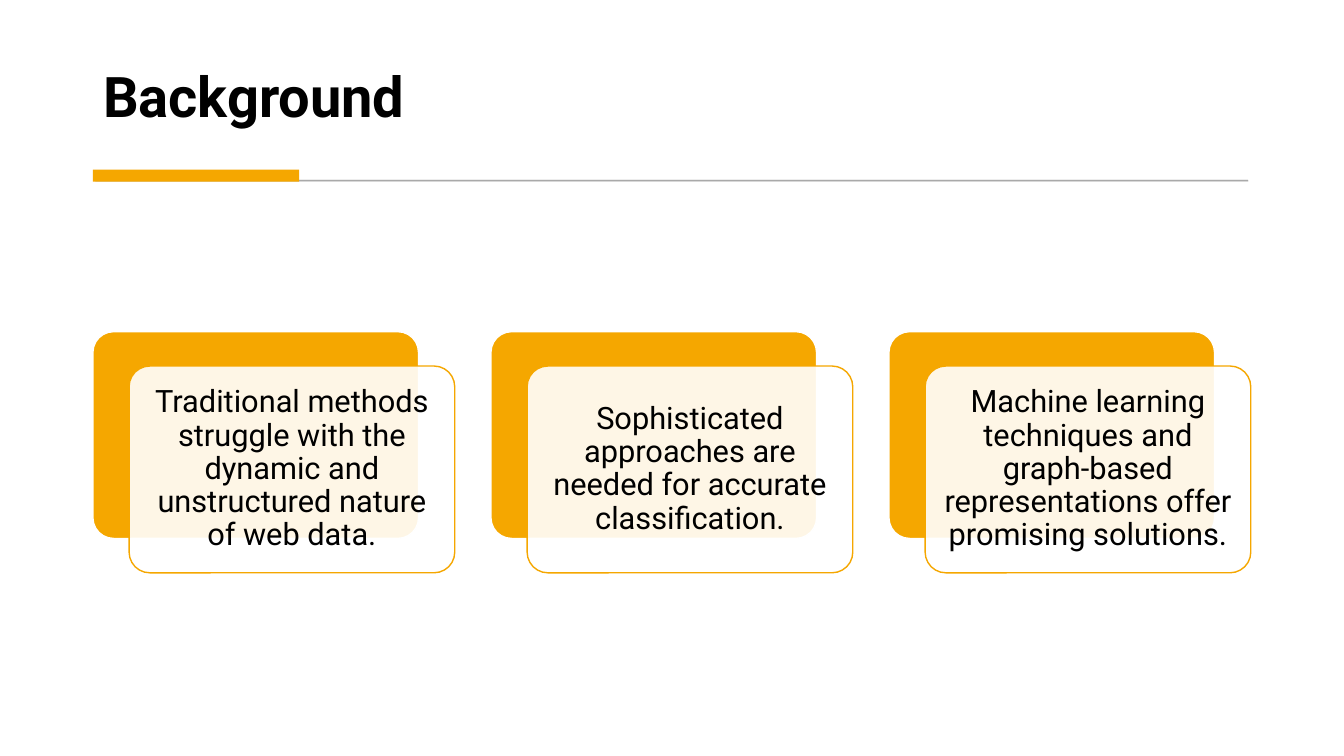
from pptx import Presentation
from pptx.dml.color import RGBColor
from pptx.enum.shapes import MSO_SHAPE
from pptx.enum.text import MSO_ANCHOR, PP_ALIGN
from pptx.oxml.ns import qn
from pptx.util import Pt
from lxml.etree import SubElement

TITLE = "Background"
POINTS = [
    "Traditional methods struggle with the dynamic and unstructured nature of web data.",
    "Sophisticated approaches are needed for accurate classification.",
    "Machine learning techniques and graph-based representations offer promising solutions.",
]

AMBER = RGBColor(0xF5, 0xA7, 0x00)
WHITE = RGBColor(0xFF, 0xFF, 0xFF)
BLACK = RGBColor(0x00, 0x00, 0x00)
GREY = RGBColor(0x59, 0x59, 0x59)
FONT = "Roboto"

LEFT = 66.4
CARD_TOP, CARD_WIDTH, CARD_HEIGHT = 236.9, 232.6, 147.7
CARD_PITCH = 284.3
FRONT_DX, FRONT_DY = 25.85, 24.55


def write(frame, text, size, bold=False, align=PP_ALIGN.LEFT,
          anchor=MSO_ANCHOR.MIDDLE, inset=6.6):
    frame.word_wrap = True
    frame.vertical_anchor = anchor
    frame.margin_left = frame.margin_right = Pt(inset)
    frame.margin_top = frame.margin_bottom = Pt(inset)
    paragraph = frame.paragraphs[0]
    paragraph.alignment = align
    paragraph.line_spacing = 0.9
    run = paragraph.add_run()
    run.text = text
    run.font.name = FONT
    run.font.size = Pt(size)
    run.font.bold = bold
    run.font.color.rgb = BLACK


def set_opacity(color_parent, percent):
    """Make the solid fill directly under color_parent partly transparent."""
    color = color_parent.find(qn("a:solidFill")).find(qn("a:srgbClr"))
    SubElement(color, qn("a:alpha")).set("val", str(percent * 1000))


def add_box(slide, kind, left, top, width, height, fill, line=None, line_width=1):
    box = slide.shapes.add_shape(kind, Pt(left), Pt(top), Pt(width), Pt(height))
    box.shadow.inherit = False
    box.fill.solid()
    box.fill.fore_color.rgb = fill
    if line is None:
        box.line.fill.background()
    else:
        box.line.color.rgb = line
        box.line.width = Pt(line_width)
    if kind == MSO_SHAPE.ROUNDED_RECTANGLE:
        box.adjustments[0] = 0.1
    return box


def add_heading(slide):
    title = slide.shapes.title
    title.left, title.top = Pt(LEFT), Pt(20.2)
    title.width, title.height = Pt(827.3), Pt(79.9)
    write(title.text_frame, TITLE, 40, bold=True, anchor=MSO_ANCHOR.BOTTOM, inset=7.2)

    rule = add_box(slide, MSO_SHAPE.RECTANGLE, 68.4, 128.7, 823, 0.7, GREY, GREY, 0.75)
    properties = rule.fill._xPr
    set_opacity(properties, 30)
    set_opacity(properties.find(qn("a:ln")), 30)
    add_box(slide, MSO_SHAPE.RECTANGLE, LEFT, 121.1, 147.3, 8.7, AMBER)


def add_card(slide, left, text):
    add_box(slide, MSO_SHAPE.ROUNDED_RECTANGLE, left, CARD_TOP,
            CARD_WIDTH, CARD_HEIGHT, AMBER, WHITE)
    front = add_box(slide, MSO_SHAPE.ROUNDED_RECTANGLE, left + FRONT_DX,
                    CARD_TOP + FRONT_DY, CARD_WIDTH, CARD_HEIGHT, WHITE, AMBER)
    set_opacity(front.fill._xPr, 90)
    write(front.text_frame, text, 22, align=PP_ALIGN.CENTER)


def main():
    presentation = Presentation()
    presentation.slide_width, presentation.slide_height = Pt(960), Pt(540)
    slide = presentation.slides.add_slide(presentation.slide_layouts[5])
    add_heading(slide)
    for column, point in enumerate(POINTS):
        add_card(slide, LEFT + column * CARD_PITCH, point)
    presentation.save("out.pptx")


if __name__ == "__main__":
    main()
